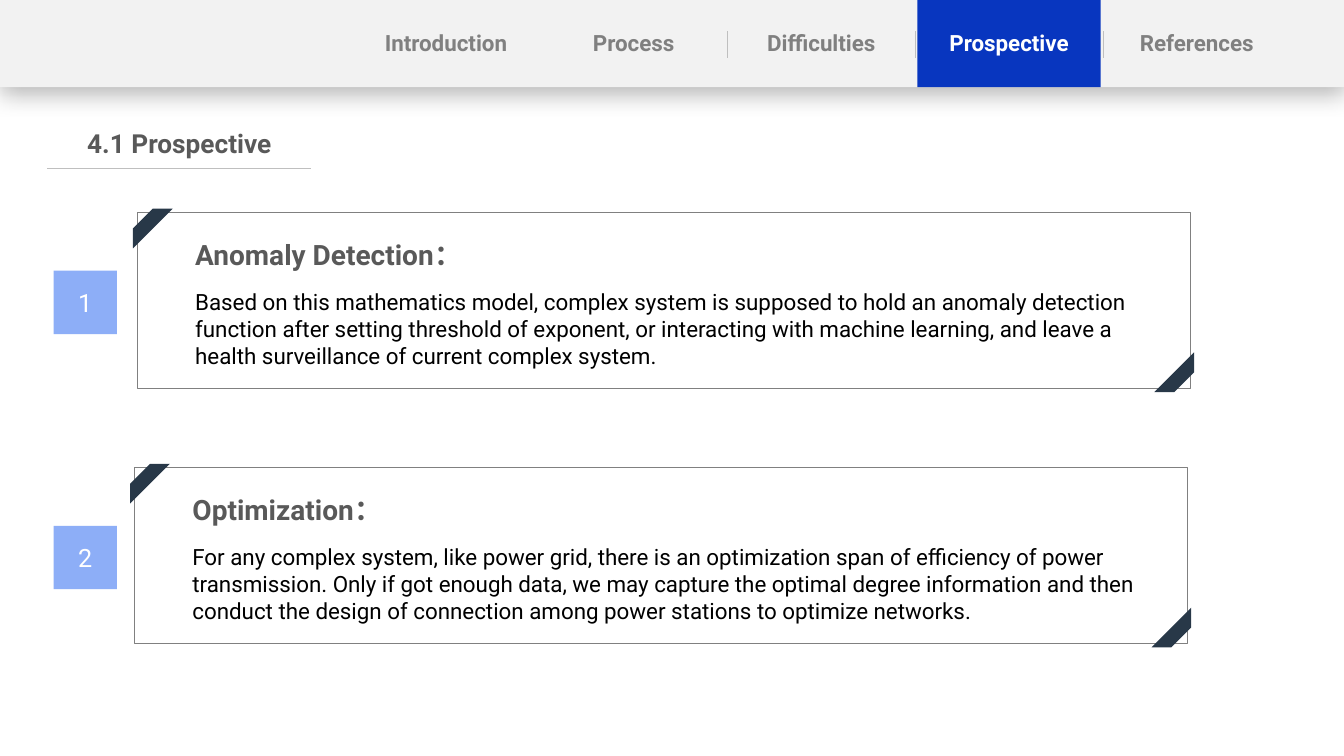
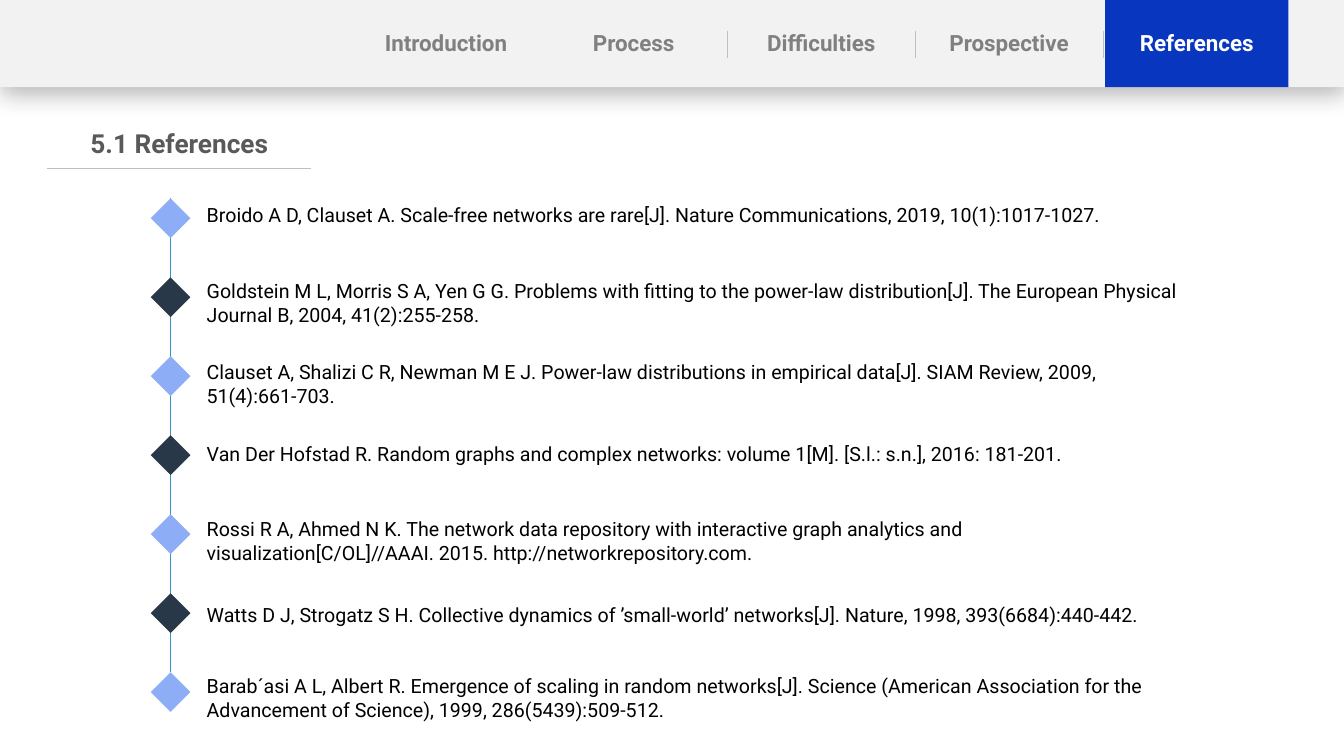
from lxml import etree
from pptx import Presentation
from pptx.dml.color import RGBColor
from pptx.enum.shapes import MSO_CONNECTOR, MSO_SHAPE
from pptx.enum.text import MSO_ANCHOR, PP_ALIGN
from pptx.oxml.ns import qn
from pptx.util import Cm, Pt

RECT, DIAMOND = MSO_SHAPE.RECTANGLE, MSO_SHAPE.DIAMOND
STRIPE = MSO_SHAPE.DIAGONAL_STRIPE
STRAIGHT = MSO_CONNECTOR.STRAIGHT
CENTER, LEFT = PP_ALIGN.CENTER, PP_ALIGN.LEFT
TOP, MIDDLE = MSO_ANCHOR.TOP, MSO_ANCHOR.MIDDLE

WIDTH, HEIGHT = 33.87, 19.05
FONT = "Roboto"
WHITE, BLACK = "FFFFFF", "000000"
BAND, RULE, GRAY, HEADING = "F2F2F2", "BFBFBF", "808080", "595959"
BLUE, SKY, NAVY, TEAL = "0836BF", "8DAEF7", "283848", "3494BA"

TABS = ["Introduction", "Process", "Difficulties", "Prospective", "References"]
BAND_HEIGHT = 2.2
TAB_PITCH, TAB_WIDTH = 4.73, 4.62
FIRST_TAB_CENTER = 11.24
DIVIDED_TABS = range(2, 5)

LABEL_INSETS = (0, 0.13, 0, 0.13)
CARD_INSETS = (0.25, 0.13, 0.25, 0.13)
REFERENCE_INSETS = (0, 0.33, 0.43, 0.23)

CARDS = [
    (3.45, 5.36, "Anomaly Detection：",
     "Based on this mathematics model, complex system is supposed to hold an "
     "anomaly detection function after setting threshold of exponent, or "
     "interacting with machine learning, and leave a health surveillance of "
     "current complex system."),
    (3.38, 11.79, "Optimization：",
     "For any complex system, like power grid, there is an optimization span "
     "of efficiency of power transmission. Only if got enough data, we may "
     "capture the optimal degree information and then conduct the design of "
     "connection among power stations to optimize networks."),
]

REFERENCES = [
    (4.78, "Broido A D, Clauset A. Scale-free networks are rare[J]. "
           "Nature Communications, 2019, 10(1):1017-1027."),
    (6.71, "Goldstein M L, Morris S A, Yen G G. Problems with fitting to the "
           "power-law distribution[J]. The European Physical Journal B, 2004, "
           "41(2):255-258."),
    (8.74, "Clauset A, Shalizi C R, Newman M E J. Power-law distributions in "
           "empirical data[J]. SIAM Review, 2009, 51(4):661-703."),
    (10.8, "Van Der Hofstad R. Random graphs and complex networks: volume "
           "1[M]. [S.l.: s.n.], 2016: 181-201."),
    (12.7, "Rossi R A, Ahmed N K. The network data repository with interactive "
           "graph analytics and visualization[C/OL]//AAAI. 2015. "
           "http://networkrepository.com."),
    (14.86, "Watts D J, Strogatz S H. Collective dynamics of ’small-world’ "
            "networks[J]. Nature, 1998, 393(6684):440-442."),
    (16.66, "Barab´asi A L, Albert R. Emergence of scaling in random "
            "networks[J]. Science (American Association for the Advancement of "
            "Science), 1999, 286(5439):509-512."),
]


def rgb(color):
    return RGBColor.from_string(color)


def set_all(obj, values):
    for name, value in values.items():
        setattr(obj, name, value)


class Deck:
    """Holds the style of the presentation and the slide being built."""

    def __init__(self):
        self.prs = Presentation()
        set_all(self.prs, {"slide_width": Cm(WIDTH), "slide_height": Cm(HEIGHT)})
        self.s = None

    def new_slide(self):
        self.s = self.prs.slides.add_slide(self.prs.slide_layouts[6])

    def shape(self, kind, x, y, w, h, fill=None, line=None, rotation=0):
        sp = self.s.shapes.add_shape(kind, Cm(x), Cm(y), Cm(w), Cm(h))
        sp.shadow.inherit = False
        sp.rotation = rotation
        if fill:
            sp.fill.solid()
            sp.fill.fore_color.rgb = rgb(fill)
        else:
            sp.fill.background()
        if line:
            sp.line.color.rgb = rgb(line)
            sp.line.width = Pt(0.5)
        else:
            sp.line.fill.background()
        return sp

    def line(self, x1, y1, x2, y2, color=RULE):
        ln = self.s.shapes.add_connector(STRAIGHT, Cm(x1), Cm(y1), Cm(x2), Cm(y2))
        ln.line.color.rgb = rgb(color)
        ln.line.width = Pt(0.5)
        etree.SubElement(ln._element.spPr, qn("a:effectLst"))

    def frame(self, sp, insets, anchor=TOP):
        tf = sp.text_frame
        sides = ("margin_left", "margin_top", "margin_right", "margin_bottom")
        set_all(tf, dict(zip(sides, map(Cm, insets))))
        set_all(tf, {"word_wrap": True, "vertical_anchor": anchor})
        return tf

    def text(self, p, text, size, color, bold=False, align=LEFT, before=0):
        set_all(p, {"alignment": align, "space_before": Pt(before)})
        r = p.add_run()
        r.text = text
        set_all(r.font, {"name": FONT, "size": Pt(size), "bold": bold})
        r.font.color.rgb = rgb(color)

    def text_box(self, x, y, w, h, insets):
        sp = self.s.shapes.add_textbox(Cm(x), Cm(y), Cm(w), Cm(h))
        return self.frame(sp, insets)

    def label(self, x, y, w, h, text, size, color):
        """Bold centred text on one line."""
        tf = self.text_box(x, y, w, h, LABEL_INSETS)
        self.text(tf.paragraphs[0], text, size, color, True, CENTER)

    def title(self, text):
        self.line(1.19, 4.24, 7.85, 4.24)
        self.label(1.19, 3.07, 6.66, 1.07, text, 18.7, HEADING)

    def navigation(self, active):
        band = self.shape(RECT, 0, 0, WIDTH, BAND_HEIGHT, BAND)
        effects = band._element.spPr.find(qn("a:effectLst"))
        shadow = etree.SubElement(
            effects, qn("a:outerShdw"), blurRad=str(Pt(18)), dist=str(Pt(4)),
            dir="5400000", algn="t", rotWithShape="0")
        clr = etree.SubElement(shadow, qn("a:srgbClr"), val=BLACK)
        etree.SubElement(clr, qn("a:alpha"), val="29000")
        for i in DIVIDED_TABS:
            x = FIRST_TAB_CENTER + (i - 0.5) * TAB_PITCH
            self.line(x, 0.79, x, 1.47)
        for i, name in enumerate(TABS):
            x = FIRST_TAB_CENTER + i * TAB_PITCH - TAB_WIDTH / 2
            if name == active:
                self.shape(RECT, x, 0, TAB_WIDTH, BAND_HEIGHT, BLUE)
            color = WHITE if name == active else GRAY
            self.label(x, 0.61, TAB_WIDTH, 0.97, name, 16, color)

    def card(self, number, x, y, heading, body):
        w, h, stripe, overhang = 26.54, 4.42, 1, 0.1
        self.shape(RECT, x, y, w, h, line=GRAY)
        self.shape(STRIPE, x - overhang, y - overhang, stripe, stripe, NAVY)
        self.shape(STRIPE, x + w + overhang - stripe, y + h + overhang - stripe,
                   stripe, stripe, NAVY, rotation=180)
        badge = self.shape(RECT, 1.35, y + 1.46, 1.6, 1.6, SKY)
        tf = self.frame(badge, (0, 0, 0, 0), MIDDLE)
        self.text(tf.paragraphs[0], str(number), 18, WHITE, align=CENTER)
        tf = self.text_box(x + 1.22, y + 0.5, 24.79, 3.6, CARD_INSETS)
        self.text(tf.paragraphs[0], heading, 20, HEADING, True)
        self.text(tf.add_paragraph(), body, 16, BLACK, before=12)

    def timeline(self, references):
        x, top, pitch, size = 3.8, 5, 1.99, 1
        center = x + size / 2
        self.line(center, top, center, top + pitch * (len(references) - 1), TEAL)
        for i, (y, text) in enumerate(references):
            color = NAVY if i % 2 else SKY
            self.shape(DIAMOND, x, top + i * pitch, size, size, color)
            tf = self.text_box(5.21, y, 25.22, 1.57, REFERENCE_INSETS)
            self.text(tf.paragraphs[0], text, 14, BLACK)


def main():
    deck = Deck()

    deck.new_slide()
    deck.title("4.1 Prospective")
    for number, card in enumerate(CARDS, 1):
        deck.card(number, *card)
    deck.navigation("Prospective")

    deck.new_slide()
    deck.title("5.1 References")
    deck.timeline(REFERENCES)
    deck.navigation("References")

    deck.prs.save("out.pptx")


if __name__ == "__main__":
    main()
